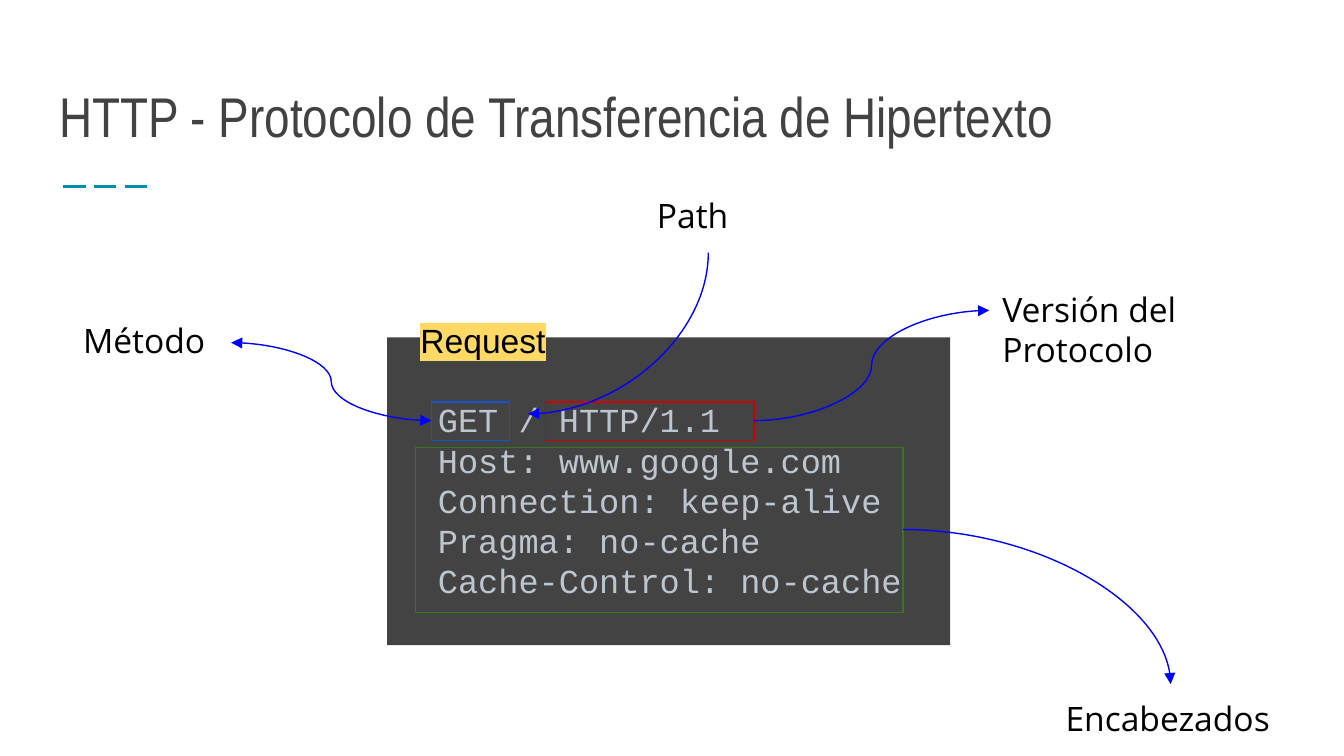
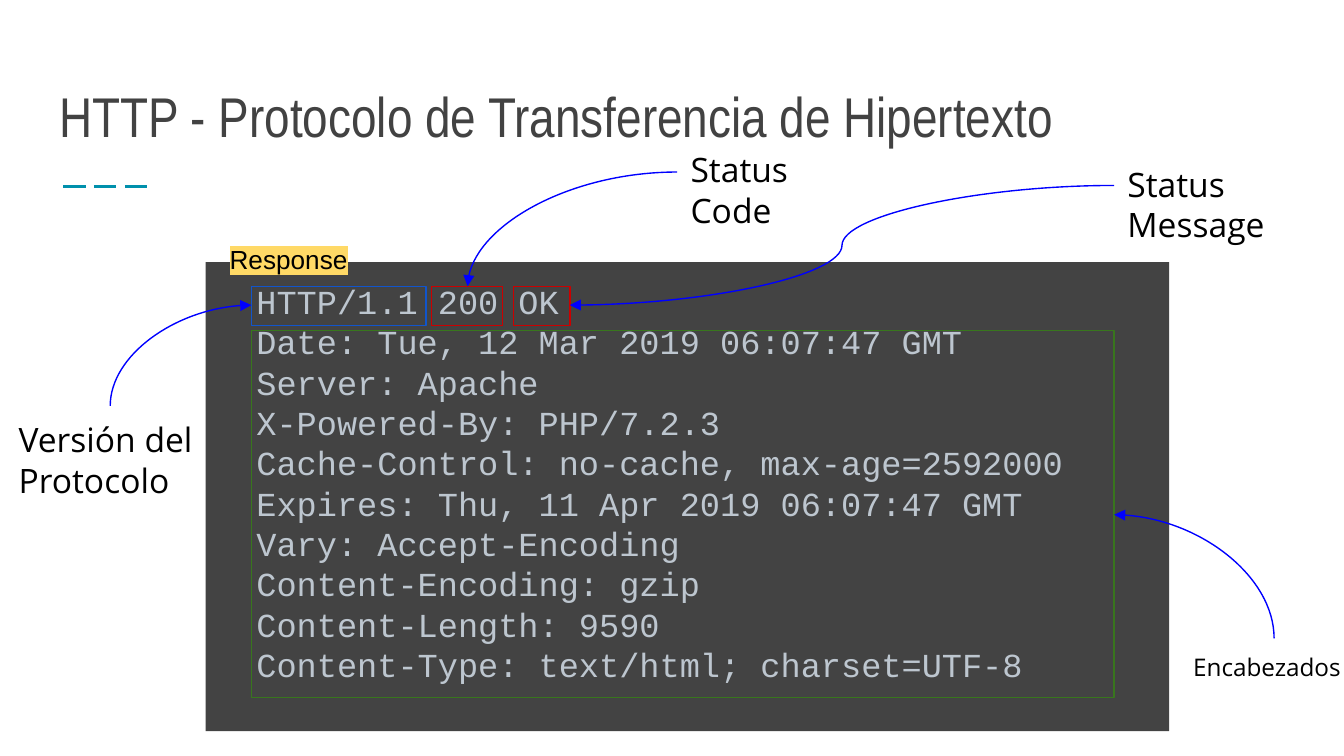
from lxml import etree
from pptx import Presentation
from pptx import util as u
from pptx.dml.color import RGBColor
from pptx.enum import dml, shapes, text
from pptx.oxml import ns

# The grid: cells of a tenth of an inch
COLS, ROWS = 100, 56.25
TITLE = "HTTP - Protocolo de Transferencia de Hipertexto"
DARK, TEAL, GREY, PANEL = "424242", "0090AC", "BDC6CF", "434343"
BLACK, GOLD, ARROW = "000000", "FFD966", "0000FF"
BLUE, RED, GREEN = "1155CC", "CC0000", "38761D"
HEAD, BODY, MONO, TAG = "Arial Narrow", "Open Sans", "Courier New", "Arial"


def rgb(code):
    return RGBColor.from_string(code)


def sub(node, tag, **attrs):
    return etree.SubElement(node, ns.qn(tag), **attrs)


class Deck:
    def __init__(self):
        self.prs = Presentation()
        self.prs.slide_width = u.Inches(10)
        self.prs.slide_height = u.Inches(5.625)
        self.slide = None

    def x(self, col):
        return round(self.prs.slide_width * col / COLS)

    def y(self, row):
        return round(self.prs.slide_height * row / ROWS)

    def box(self, at):
        left, top, wide, high = at
        return self.x(left), self.y(top), self.x(wide), self.y(high)

    def fill_text(self, frame, lines, size, font, color):
        frame.word_wrap = True
        frame.auto_size = text.MSO_AUTO_SIZE.NONE
        frame.margin_left = frame.margin_right = u.Inches(0.1)
        frame.margin_top = frame.margin_bottom = u.Inches(0.1)
        frame.text = "\n".join(lines)
        for par in frame.paragraphs:
            par.alignment = text.PP_ALIGN.LEFT
            par.line_spacing = 1.0
            par.space_before = par.space_after = u.Pt(0)
            par.font.size = u.Pt(size)
            par.font.name = font
            par.font.color.rgb = rgb(color)

    def start(self):
        """New slide with its title and the dashed rule."""
        self.slide = self.prs.slides.add_slide(self.prs.slide_layouts[5])
        title = self.slide.shapes.title
        title.left, title.top, title.width, title.height = self.box((3.4, 4.1, 93.2, 8))
        self.fill_text(title.text_frame, [TITLE], 30, HEAD, DARK)
        title.text_frame.vertical_anchor = text.MSO_ANCHOR.BOTTOM
        rule = self.line((4.7, 13.9), (11.4, 13.9), TEAL, 1.5)
        rule.line.dash_style = dml.MSO_LINE.LONG_DASH

    def label(self, at, lines, size=18, font=BODY, color=BLACK):
        area = self.slide.shapes.add_textbox(*self.box(at))
        self.fill_text(area.text_frame, lines, size, font, color)
        return area

    def tag(self, at, word, size):
        """Label with a highlighter behind its word."""
        area = self.label(at, [word], size, TAG)
        props = area.text_frame.paragraphs[0].runs[0]._r.get_or_add_rPr()
        sub(sub(props, "a:highlight"), "a:srgbClr", val=GOLD)

    def code(self, at, lines):
        self.label(at, lines, 18, MONO, GREY)

    def rect(self, at):
        shape = self.slide.shapes.add_shape(shapes.MSO_SHAPE.RECTANGLE, *self.box(at))
        shape.shadow.inherit = False
        return shape

    def panel(self, at):
        shape = self.rect(at)
        shape.fill.solid()
        shape.fill.fore_color.rgb = rgb(PANEL)
        shape.line.fill.background()

    def frame(self, at, color):
        shape = self.rect(at)
        shape.fill.background()
        shape.line.color.rgb = rgb(color)
        shape.line.width = u.Pt(0.75)

    def line(self, start, end, color, width, kind=shapes.MSO_CONNECTOR.STRAIGHT):
        link = self.slide.shapes.add_connector(
            kind, self.x(start[0]), self.y(start[1]), self.x(end[0]), self.y(end[1]))
        link.line.color.rgb = rgb(color)
        link.line.width = u.Pt(width)
        sub(link._element.spPr, "a:effectLst")
        return link

    def arrow(self, start, end, bend="wave", both=False):
        """Curve: a wave, or a quarter turn that leaves flat ("flat") or upright ("up")."""
        turn = 0
        if bend == "up":
            # A flat quarter turn, swung about its middle
            turn = 90 if end[0] < start[0] else 270
            side = 1 if turn == 90 else -1
            midx, midy = (start[0] + end[0]) / 2, (start[1] + end[1]) / 2
            dx = side * (end[1] - start[1]) / 2
            dy = side * (start[0] - end[0]) / 2
            start, end = (midx - dx, midy - dy), (midx + dx, midy + dy)
        link = self.line(start, end, ARROW, 0.75, shapes.MSO_CONNECTOR.CURVE)
        props = link._element.spPr
        if bend != "wave":
            props.find(ns.qn("a:prstGeom")).set("prst", "curvedConnector2")
        if turn:
            props.find(ns.qn("a:xfrm")).set("rot", str(turn * 60000))
        stroke = props.find(ns.qn("a:ln"))
        for tip in ["a:headEnd"] * both + ["a:tailEnd"]:
            sub(stroke, tip, type="triangle")


def request(deck):
    deck.start()
    deck.panel((28.8, 25.1, 41.9, 22.9))
    deck.code((31.6, 28.7, 36.8, 13.3), [
        "GET / HTTP/1.1",
        "Host: www.google.com",
        "Connection: keep-alive",
        "Pragma: no-cache",
        "Cache-Control: no-cache"])
    deck.tag((30.3, 22.8, 12.5, 5.4), "Request", 18)

    # Frames around the parts of the message
    deck.frame((32.1, 29.9, 5.8, 2.9), BLUE)
    deck.frame((40.6, 29.9, 15.5, 2.9), RED)
    deck.frame((30.9, 33.3, 36.3, 12.3), GREEN)

    # Names of the parts
    deck.label((5.2, 22.8, 12, 5.4), ["Método"])
    deck.label((47.9, 13.5, 9.4, 5.4), ["Path"])
    deck.label((73.6, 20.5, 23, 5.4), ["Versión del Protocolo"])
    deck.label((78.3, 50.9, 17.6, 5.4), ["Encabezados"])
    deck.arrow((32.1, 31.3), (17.2, 25.5), both=True)
    deck.arrow((56.1, 31.3), (73.6, 23.1))
    deck.arrow((67.2, 39.4), (87.1, 50.9), "flat")
    deck.arrow((52.7, 18.8), (39.3, 30.8), "up")


def response(deck):
    deck.start()
    deck.panel((15.3, 19.5, 71.7, 34.9))
    deck.code((18.1, 19.9, 70.6, 19.7), [
        "HTTP/1.1 200 OK",
        "Date: Tue, 12 Mar 2019 06:07:47 GMT",
        "Server: Apache",
        "X-Powered-By: PHP/7.2.3",
        "Cache-Control: no-cache, max-age=2592000",
        "Expires: Thu, 11 Apr 2019 06:07:47 GMT",
        "Vary: Accept-Encoding",
        "Content-Encoding: gzip",
        "Content-Length: 9590",
        "Content-Type: text/html; charset=UTF-8"])
    deck.tag((16.1, 17.1, 12.5, 5.4), "Response", 14)

    # Frames around the status line and the headers
    for left, wide, color in [(18.7, 13, BLUE), (32.1, 5.3, RED), (38.2, 4.2, RED)]:
        deck.frame((left, 21.3, wide, 2.9), color)
    deck.frame((18.7, 24.6, 64.2, 27.3), GREEN)

    # Names of the parts
    deck.label((82.9, 11.2, 17.8, 5.4), ["Status Message"])
    deck.label((50.4, 10.1, 9.4, 5.4), ["Status Code"])
    deck.label((0.4, 30.2, 15.7, 8.1), ["Versión del Protocolo"])
    deck.label((87.8, 47.5, 13.9, 5.4), ["Encabezados"], 13)
    deck.arrow((50.4, 12.8), (34.8, 21.3), "flat")
    deck.arrow((82.9, 13.8), (42.4, 22.7))
    deck.arrow((94.8, 47.5), (82.9, 38.3), "up")
    deck.arrow((8.2, 30.2), (18.7, 22.7), "up")


def main():
    deck = Deck()
    request(deck)
    response(deck)
    deck.prs.save("out.pptx")


if __name__ == "__main__":
    main()
